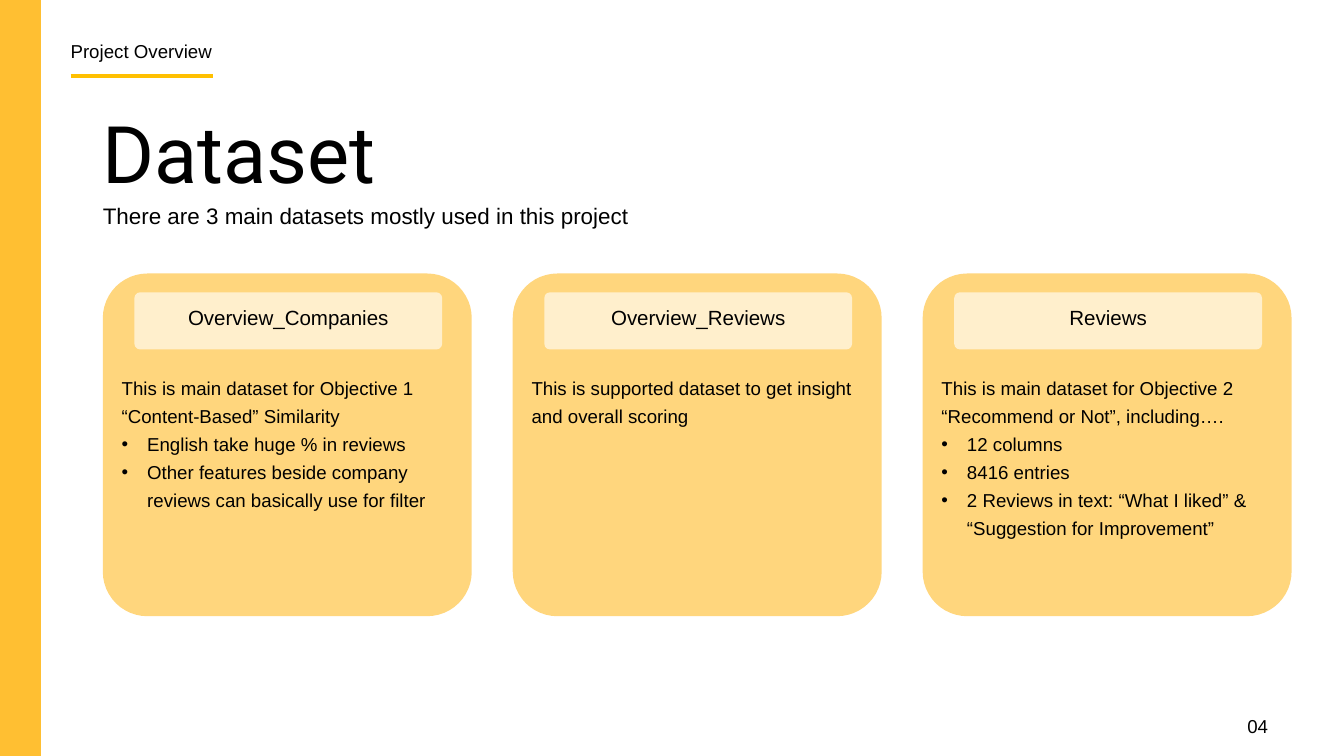
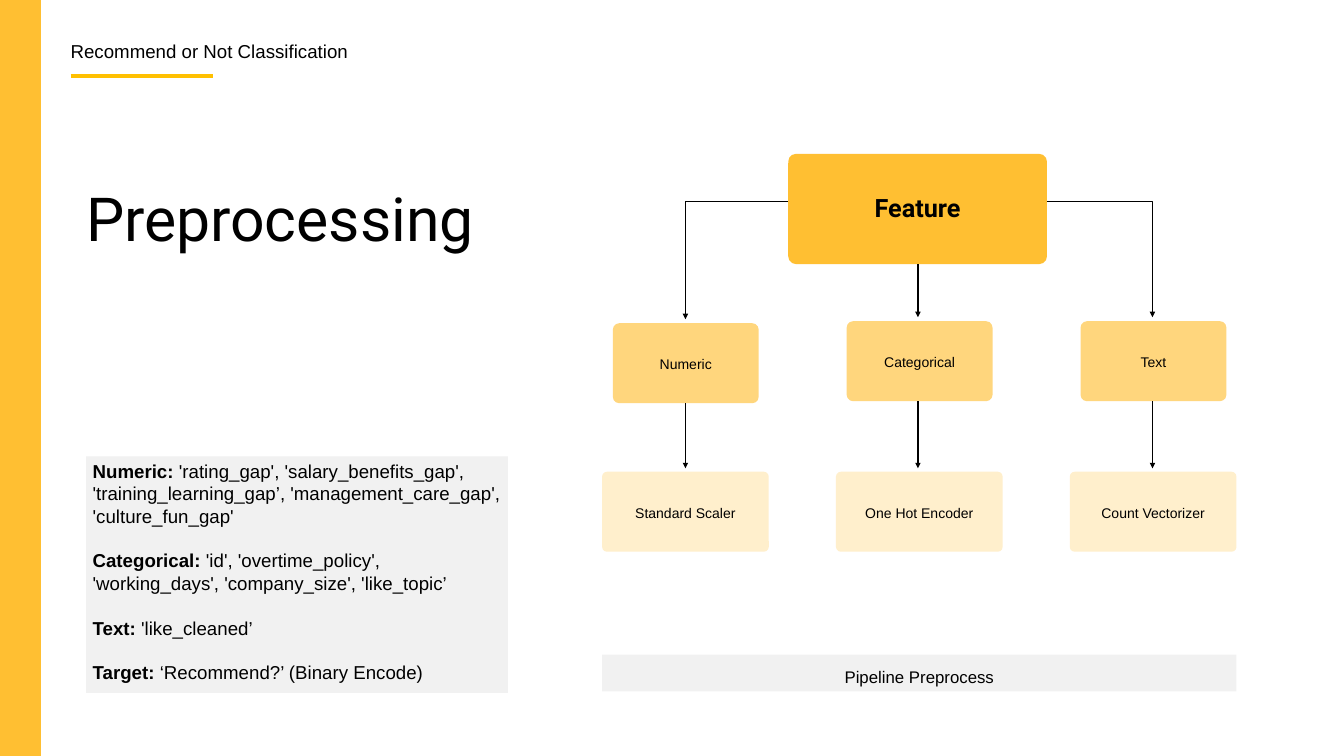
"""Build two project slides: the datasets and the preprocessing pipeline."""
from dataclasses import dataclass, replace

from lxml.etree import SubElement
from pptx import Presentation
from pptx.dml.color import RGBColor
from pptx.dml.fill import FillFormat
from pptx.enum.shapes import MSO_CONNECTOR as Connector, MSO_SHAPE as Preset
from pptx.enum.text import MSO_ANCHOR as Anchor, MSO_AUTO_SIZE as AutoSize, PP_ALIGN as Align
from pptx.oxml.ns import qn
from pptx.presentation import Presentation as Deck
from pptx.shapes.autoshape import Shape
from pptx.slide import Slide
from pptx.text.text import TextFrame, _Paragraph as Paragraph
from pptx.util import Inches, Pt

BLACK, AMBER, RULE = "000000", "FFBF32", "FFC000"
SAND, CREAM, GREY = "FFD67D", "FFEFCC", "F1F1F1"
TITLE_ONLY = 5


@dataclass(frozen=True)
class Area:
    left: float
    top: float
    width: float
    height: float

    def inches(self) -> tuple[Inches, ...]:
        return tuple(Inches(n) for n in (self.left, self.top, self.width, self.height))


@dataclass(frozen=True)
class Style:
    size: int
    spacing: float = 1.0
    align: Align = Align.LEFT
    font: str = "Arial"
    bold: bool = False


@dataclass(frozen=True)
class Dataset:
    name: str
    summary: str
    details: tuple[str, ...] = ()


@dataclass(frozen=True)
class Branch:
    kind: str
    encoder: str
    top: float
    arrow_x: float


HEADER = Style(20, 0.91)
CARD_NAME = Style(22, 0.95, Align.CENTER)
CARD_BODY = Style(20, 1.25)
NODE = Style(15, 1.4, Align.CENTER)

DATASETS = (
    Dataset(
        "Overview_Companies",
        "This is main dataset for Objective 1 “Content-Based” Similarity",
        ("English take huge % in reviews",
         "Other features beside company reviews can basically use for filter"),
    ),
    Dataset("Overview_Reviews", "This is supported dataset to get insight and overall scoring"),
    Dataset(
        "Reviews",
        "This is main dataset for Objective 2 “Recommend or Not”, including….",
        ("12 columns", "8416 entries",
         "2 Reviews in text: “What I liked” & “Suggestion for Improvement”"),
    ),
)

BRANCHES = (
    Branch("Numeric", "Standard Scaler", 4.81, 10.2),
    Branch("Categorical", "One Hot Encoder", 4.78, 13.66),
    Branch("Text", "Count Vectorizer", 4.78, 17.15),
)

FEATURES = (
    ("Numeric: ", "'rating_gap', 'salary_benefits_gap', 'training_learning_gap’, "
                  "'management_care_gap', 'culture_fun_gap'"),
    ("Categorical: ", "'id', 'overtime_policy', 'working_days', 'company_size', 'like_topic’"),
    ("Text: ", "'like_cleaned’"),
    ("Target: ", "‘Recommend?’ (Binary Encode)"),
)


def paint(fill: FillFormat, colour: str) -> None:
    fill.solid()
    fill.fore_color.rgb = RGBColor.from_string(colour)


def format_paragraph(para: Paragraph, style: Style) -> None:
    para.alignment = style.align
    para.line_spacing = style.spacing
    para.font.name = style.font
    para.font.size = Pt(style.size)
    para.font.bold = style.bold
    paint(para.font.fill, BLACK)


def add_bullet(para: Paragraph) -> None:
    properties = para._p.get_or_add_pPr()
    properties.set("marL", str(Inches(0.38)))
    properties.set("indent", str(Inches(-0.38)))
    colour = SubElement(properties, qn("a:buClr"))
    SubElement(colour, qn("a:srgbClr"), val=BLACK)
    SubElement(properties, qn("a:buFont"), typeface="Arial")
    SubElement(properties, qn("a:buChar"), char="•")


def set_frame(frame: TextFrame, across: float = 0, above: float = 0, below: float = 0,
              anchor: Anchor = Anchor.TOP) -> None:
    frame.word_wrap = True
    frame.auto_size = AutoSize.NONE
    frame.vertical_anchor = anchor
    frame.margin_left = frame.margin_right = Inches(across)
    frame.margin_top, frame.margin_bottom = Inches(above), Inches(below)


def write(frame: TextFrame, text: str, style: Style) -> None:
    para = frame.paragraphs[0]
    para.text = text
    format_paragraph(para, style)


def add_text(page: Slide, area: Area, text: str, style: Style, inset: float = 0) -> TextFrame:
    frame = page.shapes.add_textbox(*area.inches()).text_frame
    set_frame(frame, inset, inset, inset)
    write(frame, text, style)
    return frame


def add_panel(page: Slide, area: Area, colour: str, rounding: float = 0) -> Shape:
    preset = Preset.ROUNDED_RECTANGLE if rounding else Preset.RECTANGLE
    panel = page.shapes.add_shape(preset, *area.inches())
    if rounding:
        panel.adjustments[0] = rounding
    panel.shadow.inherit = False
    paint(panel.fill, colour)
    panel.line.fill.background()
    return panel


def add_label(page: Slide, area: Area, colour: str, text: str, style: Style,
              rounding: float = 0, lift: float = 0.07) -> None:
    frame = add_panel(page, area, colour, rounding).text_frame
    set_frame(frame, below=lift, anchor=Anchor.MIDDLE)
    write(frame, text, style)


def add_line(page: Slide, start: tuple[float, float], end: tuple[float, float],
             colour: str = BLACK, width: float = 1.5, arrow: bool = True) -> None:
    bent = start[0] != end[0] and start[1] != end[1]
    kind = Connector.ELBOW if bent else Connector.STRAIGHT
    line = page.shapes.add_connector(kind, *(Inches(n) for n in start + end))
    paint(line.line.fill, colour)
    line.line.width = Pt(width)
    properties = line.element.spPr
    if bent:
        properties.find(qn("a:prstGeom")).set("prst", "bentConnector2")
    if arrow:
        SubElement(properties.find(qn("a:ln")), qn("a:tailEnd"), type="triangle")
    SubElement(properties, qn("a:effectLst"))


def add_page(deck: Deck, section: str, title: str, area: Area, size: int) -> Slide:
    page = deck.slides.add_slide(deck.slide_layouts[TITLE_ONLY])
    heading = page.shapes.title
    heading.left, heading.top, heading.width, heading.height = area.inches()
    set_frame(heading.text_frame)
    write(heading.text_frame, title, Style(size, 1.2, font="Roboto"))
    add_panel(page, Area(0, 0, 0.61, 11.25), AMBER)
    add_text(page, Area(1.05, 0.63, 7.11, 0.4), section, HEADER)
    add_line(page, (1.05, 1.13), (3.17, 1.13), RULE, 4.5, arrow=False)
    return page


def add_card(page: Slide, left: float, dataset: Dataset) -> None:
    add_panel(page, Area(left, 4.07, 5.49, 5.1), SAND, 0.13)
    add_label(page, Area(left + 0.47, 4.35, 4.58, 0.85), CREAM, dataset.name, CARD_NAME, 0.1)
    frame = add_text(page, Area(left, 5.24, 5.49, 3.58), dataset.summary, CARD_BODY, 0.28)
    for detail in dataset.details:
        para = frame.add_paragraph()
        para.text = detail
        add_bullet(para)
        format_paragraph(para, CARD_BODY)


def add_dataset_page(deck: Deck) -> None:
    page = add_page(deck, "Project Overview", "Dataset", Area(1.53, 1.27, 14.8, 1.32), 85)
    add_text(page, Area(1.53, 2.81, 14.8, 0.46),
             "There are 3 main datasets mostly used in this project", Style(24, 1.5))
    for index, dataset in enumerate(DATASETS):
        add_card(page, 1.53 + 6.1 * index, dataset)
    add_text(page, Area(18.02, 10.5, 0.85, 0.37), "04", Style(20, 1.4, Align.RIGHT))


def add_branch(page: Slide, index: int, branch: Branch) -> None:
    centre, height, encoder_top = 10.2 + 3.48 * index, 1.19, 7.02
    add_label(page, Area(centre - 1.08, branch.top, 2.17, height), SAND, branch.kind, NODE, 0.08)
    add_label(page, Area(centre - 1.24, encoder_top, 2.48, height), CREAM, branch.encoder, NODE,
              0.06)
    add_line(page, (branch.arrow_x, branch.top + height), (branch.arrow_x, encoder_top - 0.05))


def add_feature_list(page: Slide) -> None:
    frame = add_panel(page, Area(1.28, 6.79, 6.28, 3.52), GREY).text_frame
    set_frame(frame, 0.1, 0.05, 0.05)
    for index, (label, names) in enumerate(FEATURES):
        para = frame.add_paragraph() if index else frame.paragraphs[0]
        if index:
            para.space_before = Pt(24)
        format_paragraph(para, Style(20))
        span = para.add_run()
        span.text = label
        span.font.bold = True
        para.add_run().text = names


def add_preprocessing_page(deck: Deck) -> None:
    page = add_page(deck, "Recommend or Not Classification", "Preprocessing",
                    Area(1.28, 2.48, 5.96, 1.09), 65)
    root = Area(11.73, 2.29, 3.85, 1.64)
    add_label(page, root, AMBER, "Feature", replace(NODE, size=27, font="Roboto", bold=True),
              0.07, 0.22)
    starts = ((root.left, 3), (13.66, root.top + root.height), (root.left + root.width, 3))
    for index, (branch, start) in enumerate(zip(BRANCHES, starts)):
        add_branch(page, index, branch)
        add_line(page, start, (branch.arrow_x, branch.top - 0.06))
    add_feature_list(page)
    add_label(page, Area(8.96, 9.74, 9.44, 0.55), GREY, "Pipeline Preprocess",
              replace(NODE, size=18), lift=0)


def main() -> None:
    deck = Presentation()
    deck.slide_width, deck.slide_height = Inches(20), Inches(11.25)
    add_dataset_page(deck)
    add_preprocessing_page(deck)
    deck.save("out.pptx")


if __name__ == "__main__":
    main()
